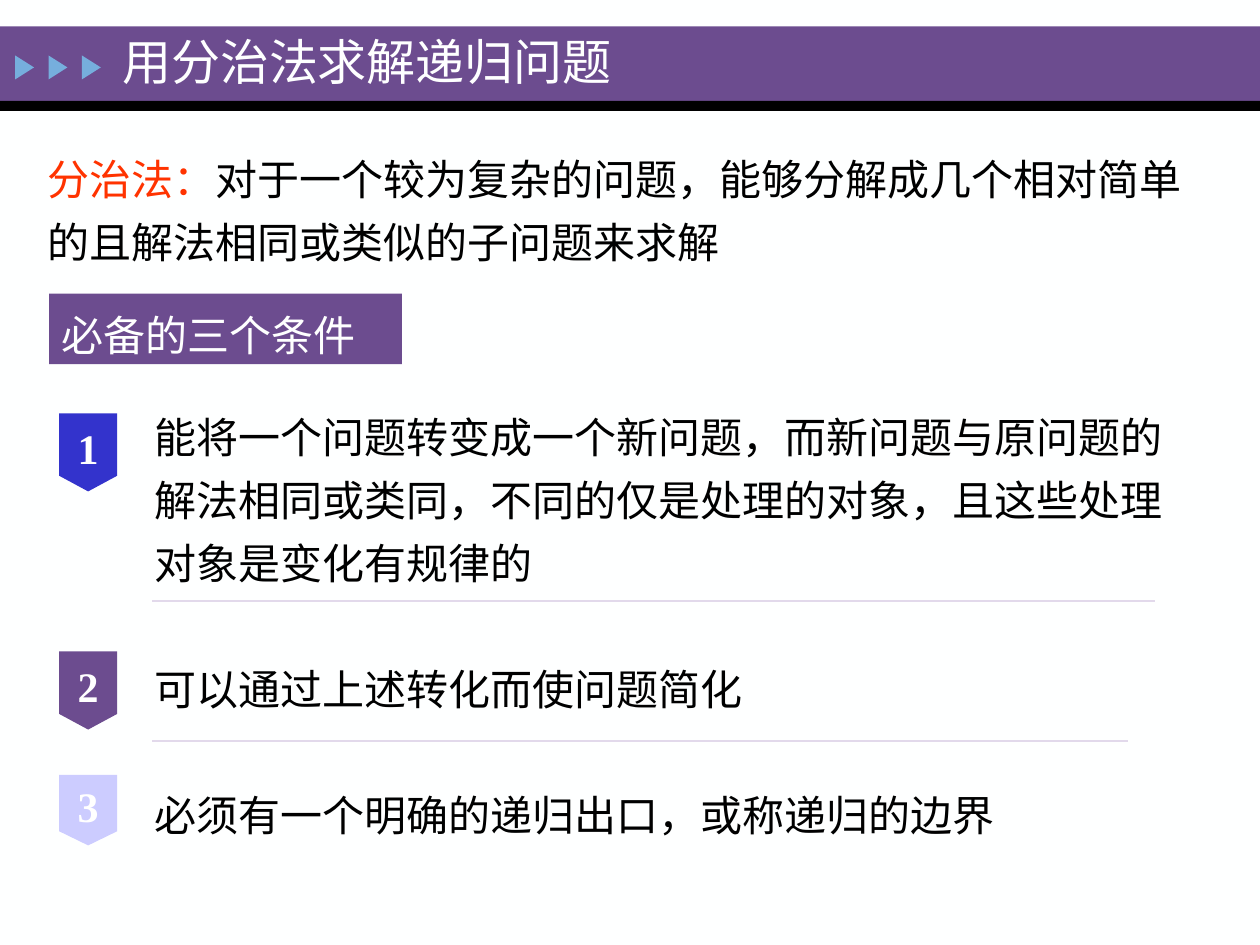
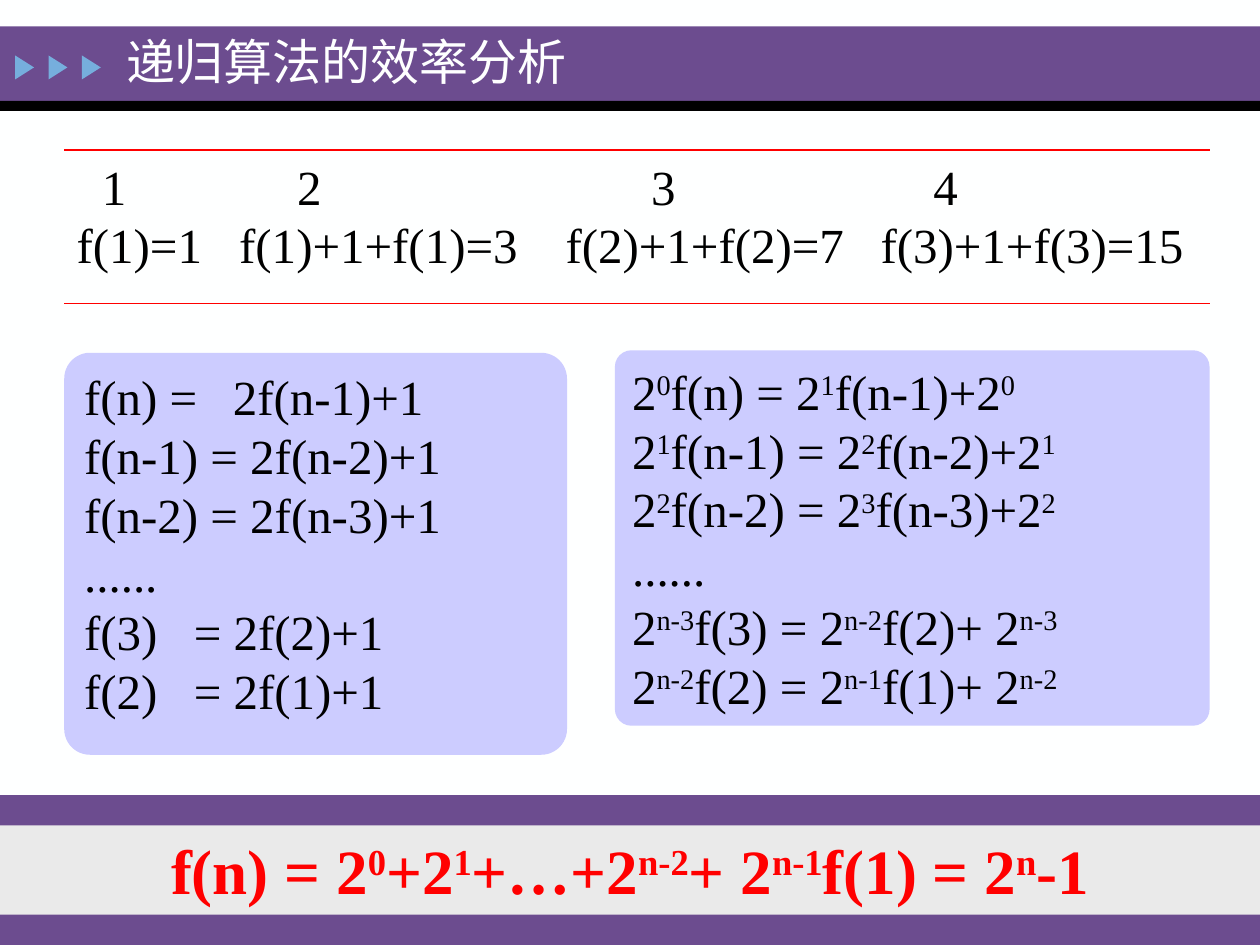
from lxml.etree import SubElement
from pptx import Presentation
from pptx.dml.color import RGBColor as RGB
from pptx.enum.shapes import MSO_CONNECTOR as Link, MSO_SHAPE as Kind
from pptx.enum.text import MSO_ANCHOR as Anchor, MSO_AUTO_SIZE as Auto, PP_ALIGN as Align
from pptx.oxml.ns import qn
from pptx.util import Inches, Pt

# Shared style
FONT = "Times New Roman"
PAPER = RGB(0xFE, 0xFF, 0xFF)
WHITE = RGB(0xFF, 0xFF, 0xFF)
BLACK = RGB(0, 0, 0)
PURPLE = RGB(0x6C, 0x4C, 0x8F)
SKY = RGB(0x76, 0xAE, 0xDD)
BLUE = RGB(0x33, 0x33, 0xCC)
LILAC = RGB(0xCC, 0xCC, 0xFF)
PALE = RGB(0xE2, 0xD9, 0xEB)
GRAY = RGB(0xEA, 0xEA, 0xEA)
ORANGE = RGB(0xFF, 0x33, 0x00)
RED = RGB(0xFF, 0, 0)

# Content of slide 1
METHOD = "用分治法求解递归问题"
TERM = "分治法："
MEANING = "对于一个较为复杂的问题，能够分解成几个相对简单的且解法相同或类似的子问题来求解"
LABEL = "必备的三个条件"
RULES = [
    "能将一个问题转变成一个新问题，而新问题与原问题的解法相同或类同，不同的仅是处理的对象，且这些处理对象是变化有规律的",
    "可以通过上述转化而使问题简化",
    "必须有一个明确的递归出口，或称递归的边界",
]
BADGES = [(3.28, 0.62, BLUE), (5.17, 0.62, PURPLE), (6.15, 0.56, LILAC)]  # top, height, fill
BREAKS = [(4.77, 9.17), (5.88, 8.95)]  # height, right end

# Content of slide 2: text between bars is raised
COST = "递归算法的效率分析"
COUNTS = [  # text, tab stops
    ("\t1\t2\t3\t4", (0.2, 1.75, 4.56, 6.8)),
    ("f(1)=1\tf(1)+1+f(1)=3\tf(2)+1+f(2)=7\tf(3)+1+f(3)=15", (1.29, 3.88, 6.38)),
]
STEPS = [
    ("f(n) =\t2f(n-1)+1", (1.18,)),
    ("f(n-1) = 2f(n-2)+1", ()),
    ("f(n-2) = 2f(n-3)+1", ()),
    ("......", ()),
    ("f(3)\t= 2f(2)+1", (0.87,)),
    ("f(2)\t= 2f(1)+1", (0.87,)),
]
SCALED = [
    "2|0|f(n) = 2|1|f(n-1)+2|0",
    "2|1|f(n-1) = 2|2|f(n-2)+2|1",
    "2|2|f(n-2) = 2|3|f(n-3)+2|2",
    "......",
    "2|n-3|f(3) = 2|n-2|f(2)+ 2|n-3",
    "2|n-2|f(2) = 2|n-1|f(1)+ 2|n-2",
]
RESULT = "f(n) = 2|0|+2|1|+…+2|n-2|+ 2|n-1|f(1) = 2|n|-1"


def add_run(para, text, size, color, bold=False, raised=False):
    run = para.add_run()
    run.text = text
    font = run.font
    font.name, font.size, font.bold = FONT, Pt(size), bold
    font.color.rgb = color
    if raised:
        run._r.get_or_add_rPr().set("baseline", "30000")


def add_math(para, text, size, color, bold=False):
    for i, part in enumerate(text.split("|")):
        add_run(para, part, size, color, bold, raised=i % 2 == 1)


def set_tabs(para, stops):
    if stops:
        tabs = SubElement(para._p.get_or_add_pPr(), qn("a:tabLst"))
        for stop in stops:
            SubElement(tabs, qn("a:tab"), pos=str(Inches(stop)), algn="l")


def set_frame(shape, anchor=Anchor.TOP):
    frame = shape.text_frame
    frame.word_wrap = True
    frame.auto_size = Auto.NONE
    frame.vertical_anchor = anchor
    frame.paragraphs[0].alignment = Align.LEFT
    return frame


def add_paras(frame, count):
    for _ in range(count - 1):
        frame.add_paragraph().alignment = Align.LEFT
    return frame.paragraphs


def add_box(slide, x, y, w, h, fill, kind=Kind.RECTANGLE):
    box = slide.shapes.add_shape(kind, Inches(x), Inches(y), Inches(w), Inches(h))
    box.shadow.inherit = False
    box.fill.solid()
    box.fill.fore_color.rgb = fill
    box.line.fill.background()
    return box


def add_text(slide, x, y, w, h):
    return set_frame(slide.shapes.add_textbox(Inches(x), Inches(y), Inches(w), Inches(h)))


def add_line(slide, x, y, end, color):
    line = slide.shapes.add_connector(
        Link.STRAIGHT, Inches(x), Inches(y), Inches(end), Inches(y))
    line.line.color.rgb = color
    line.line.width = Pt(0.75)
    SubElement(line._element.spPr, qn("a:effectLst"))


def add_slide(deck, title, x, w):
    slide = deck.slides.add_slide(deck.slide_layouts[5])
    head = slide.shapes.title
    head.left, head.top, head.width, head.height = map(Inches, (x, 0.2, w, 0.57))
    add_run(set_frame(head, Anchor.MIDDLE).paragraphs[0], title, 28, PAPER)
    return slide


def add_theme(deck, slide):
    """Put the page colour on the master and the title band on the layout."""
    back = deck.slide_master.background.fill
    back.solid()
    back.fore_color.rgb = PAPER
    parts = [add_box(slide, 0, 0.21, 10, 0.59, PURPLE), add_box(slide, 0, 0.8, 10, 0.08, BLACK)]
    for i in range(3):
        arrow = add_box(slide, 0.1 + 0.265 * i, 0.46, 0.19, 0.15, SKY, Kind.ISOSCELES_TRIANGLE)
        arrow.rotation = 90
        parts.append(arrow)
    for part in parts:
        slide.slide_layout.shapes.element.append(part._element)


def fill_method(slide):
    # Definition
    para = add_text(slide, 0.28, 1.07, 9.44, 1.06).paragraphs[0]
    para.line_spacing = 1.25
    add_run(para, TERM, 24, ORANGE)
    add_run(para, MEANING, 24, BLACK)

    # Conditions
    paras = add_paras(add_text(slide, 1.13, 3.12, 8.39, 3.59), len(RULES))
    for i, (para, rule) in enumerate(zip(paras, RULES)):
        para.line_spacing = 1.25
        if i:
            para.space_before = Pt(36)
        add_run(para, rule, 24, BLACK)

    # Label
    para = set_frame(add_box(slide, 0.39, 2.33, 2.8, 0.56, PURPLE), Anchor.MIDDLE).paragraphs[0]
    para.line_spacing = 1.25
    add_run(para, LABEL, 24, PAPER)

    # Numbered badges and dividers
    for i, (y, h, fill) in enumerate(BADGES, 1):
        badge = add_box(slide, 0.47, y, 0.46, h, fill, Kind.FLOWCHART_OFFPAGE_CONNECTOR)
        frame = set_frame(badge, Anchor.MIDDLE)
        frame.margin_left = frame.margin_right = frame.margin_bottom = 0
        frame.paragraphs[0].alignment = Align.CENTER
        add_run(frame.paragraphs[0], str(i), 24, WHITE, bold=True)
    for y, end in BREAKS:
        add_line(slide, 1.21, y, end, PALE)


def fill_cost(slide):
    # Move counts between two rules
    paras = add_paras(add_text(slide, 0.51, 1.19, 9.08, 1.04), len(COUNTS))
    for para, (text, stops) in zip(paras, COUNTS):
        set_tabs(para, stops)
        add_run(para, text, 28, BLACK)
    for y in (1.19, 2.41):
        add_line(slide, 0.51, y, 9.6, RED)

    # Recurrence panels
    panels = [
        ((0.51, 2.8, 3.99, 3.19), 0.064, STEPS),
        ((4.88, 2.78, 4.72, 2.98), 0.044, [(text, ()) for text in SCALED]),
    ]
    for place, bend, rows in panels:
        panel = add_box(slide, *place, LILAC, Kind.ROUNDED_RECTANGLE)
        panel.adjustments[0] = bend
        for para, (text, stops) in zip(add_paras(set_frame(panel), len(rows)), rows):
            set_tabs(para, stops)
            add_math(para, text, 28, BLACK)

    # Result band
    add_box(slide, 0, 6.31, 10, 1.19, PURPLE)
    para = set_frame(add_box(slide, 0, 6.55, 10, 0.71, GRAY)).paragraphs[0]
    para.alignment = Align.CENTER
    add_math(para, RESULT, 36, RED, bold=True)


def main():
    deck = Presentation()
    deck.slide_width, deck.slide_height = Inches(10), Inches(7.5)
    first = add_slide(deck, METHOD, 0.87, 4.13)
    add_theme(deck, first)
    fill_method(first)
    fill_cost(add_slide(deck, COST, 0.9, 5.94))
    deck.save("out.pptx")


if __name__ == "__main__":
    main()
